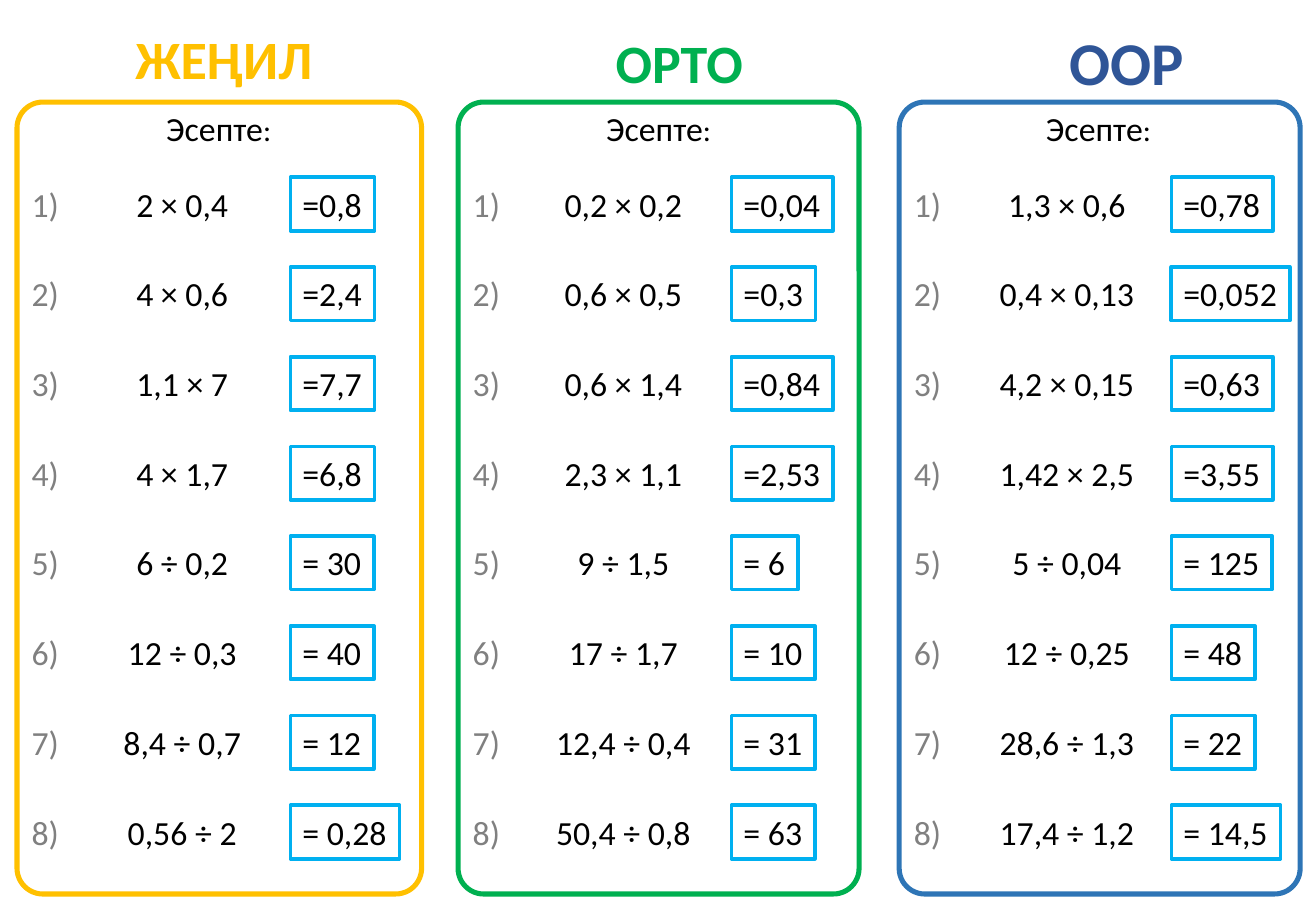
from dataclasses import dataclass

from pptx import Presentation
from pptx.dml.color import RGBColor
from pptx.enum.shapes import MSO_SHAPE as Preset
from pptx.enum.text import MSO_ANCHOR as Anchor, MSO_AUTO_SIZE as AutoSize, PP_ALIGN as Align
from pptx.util import Inches, Pt

AMBER = RGBColor(0xFF, 0xC0, 0x00)
GREEN = RGBColor(0x00, 0xB0, 0x50)
BLUE = RGBColor(0x2E, 0x75, 0xB6)
NAVY = RGBColor(0x2F, 0x55, 0x97)
SKY = RGBColor(0x00, 0xB0, 0xF0)
GREY = RGBColor(0x80, 0x80, 0x80)
BLACK = RGBColor(0x00, 0x00, 0x00)
WHITE = RGBColor(0xFF, 0xFF, 0xFF)

EM_SHARES = {",": 0.25, " ": 0.23, "=": 0.5, "×": 0.5, "÷": 0.5}
DIGIT_SHARE = 0.51
FIRST_ROW, LAST_ROW = 1.46, 6.63
ROW_HEIGHT = 0.44


@dataclass
class Level:
    title: str
    title_box: tuple
    title_size: int
    title_color: RGBColor
    panel_left: float
    panel_width: float
    panel_color: RGBColor
    prompt_left: float
    task_center: float
    answer_left: float
    exercises: list


LEVELS = [
    Level("ЖЕҢИЛ", (0.93, 0.23, 1.83, 0.5), 32, AMBER, 0.14, 3.33, AMBER, 1.26, 1.5, 2.39, [
        ("2 × 0,4", "=0,8"), ("4 × 0,6", "=2,4"), ("1,1 × 7", "=7,7"), ("4 × 1,7", "=6,8"),
        ("6 ÷ 0,2", "= 30"), ("12 ÷ 0,3", "= 40"), ("8,4 ÷ 0,7", "= 12"), ("0,56 ÷ 2", "= 0,28"),
    ]),
    Level("ОРТО", (2.88, 0.19, 5.42, 0.64), 32, GREEN, 3.77, 3.3, GREEN, 4.88, 5.13, 6.02, [
        ("0,2 × 0,2", "=0,04"), ("0,6 × 0,5", "=0,3"), ("0,6 × 1,4", "=0,84"), ("2,3 × 1,1", "=2,53"),
        ("9 ÷ 1,5", "= 6"), ("17 ÷ 1,7", "= 10"), ("12,4 ÷ 0,4", "= 31"), ("50,4 ÷ 0,8", "= 63"),
    ]),
    Level("ООР", (8.56, 0.15, 1.43, 0.71), 36, NAVY, 7.4, 3.3, BLUE, 8.5, 8.78, 9.64, [
        ("1,3 × 0,6", "=0,78"), ("0,4 × 0,13", "=0,052"), ("4,2 × 0,15", "=0,63"), ("1,42 × 2,5", "=3,55"),
        ("5 ÷ 0,04", "= 125"), ("12 ÷ 0,25", "= 48"), ("28,6 ÷ 1,3", "= 22"), ("17,4 ÷ 1,2", "= 14,5"),
    ]),
]


def fitted_width(text, size=20):
    ems = sum(EM_SHARES.get(char, DIGIT_SHARE) for char in text)
    return ems * size / 72 + 0.2


def write(frame, text, size=20, color=BLACK, bold=False, align=Align.LEFT, font="Calibri"):
    paragraph = frame.paragraphs[0]
    paragraph.alignment = align
    run = paragraph.add_run()
    run.text = text
    run.font.name = font
    run.font.size = Pt(size)
    run.font.bold = bold
    run.font.color.rgb = color


class Worksheet:
    def __init__(self, slide):
        self.shapes = slide.shapes

    def panel(self, left, width, color):
        outline = self.shapes.add_shape(
            Preset.ROUNDED_RECTANGLE, Inches(left), Inches(0.84), Inches(width), Inches(6.52))
        outline.adjustments[0] = 0.064
        outline.shadow.inherit = False
        outline.fill.background()
        outline.line.color.rgb = color
        outline.line.width = Pt(3)

    def label(self, text, box, wrap=False, **style):
        frame = self.shapes.add_textbox(*map(Inches, box)).text_frame
        frame.word_wrap = wrap
        frame.auto_size = AutoSize.SHAPE_TO_FIT_TEXT
        write(frame, text, **style)
        return frame

    def number(self, text, left, top):
        frame = self.label(text, (left, top + 0.05, 0.35, 0.34), color=GREY)
        frame.margin_left = Inches(0.12)
        frame.margin_top = frame.margin_right = frame.margin_bottom = 0

    def task(self, text, center, top):
        width = fitted_width(text)
        self.label(text, (center - width / 2, top, width, ROW_HEIGHT), align=Align.CENTER)

    def answer(self, text, left, top):
        box = self.shapes.add_shape(
            Preset.RECTANGLE, Inches(left), Inches(top), Inches(fitted_width(text)), Inches(ROW_HEIGHT))
        box.shadow.inherit = False
        box.fill.solid()
        box.fill.fore_color.rgb = WHITE
        box.line.color.rgb = SKY
        box.line.width = Pt(2.25)
        frame = box.text_frame
        frame.word_wrap = False
        frame.auto_size = AutoSize.SHAPE_TO_FIT_TEXT
        frame.vertical_anchor = Anchor.TOP
        write(frame, text)

    def level(self, level):
        self.panel(level.panel_left, level.panel_width, level.panel_color)
        self.label(level.title, level.title_box, wrap=True, size=level.title_size,
                   color=level.title_color, bold=True, align=Align.CENTER).vertical_anchor = Anchor.MIDDLE
        prompt = self.label("Эсепте", (level.prompt_left, 0.84, 1.08, ROW_HEIGHT), align=Align.CENTER)
        write(prompt, ":", size=18, align=Align.CENTER)
        pitch = (LAST_ROW - FIRST_ROW) / (len(level.exercises) - 1)
        for row, (task, answer) in enumerate(level.exercises):
            top = FIRST_ROW + row * pitch
            self.number(f"{row + 1})", level.panel_left, top)
            self.task(task, level.task_center, top)
            self.answer(answer, level.answer_left, top)


def main():
    deck = Presentation()
    deck.slide_width = Inches(10.83)
    deck.slide_height = Inches(7.5)
    worksheet = Worksheet(deck.slides.add_slide(deck.slide_layouts[6]))
    for level in LEVELS:
        worksheet.level(level)
    deck.save("out.pptx")


if __name__ == "__main__":
    main()
